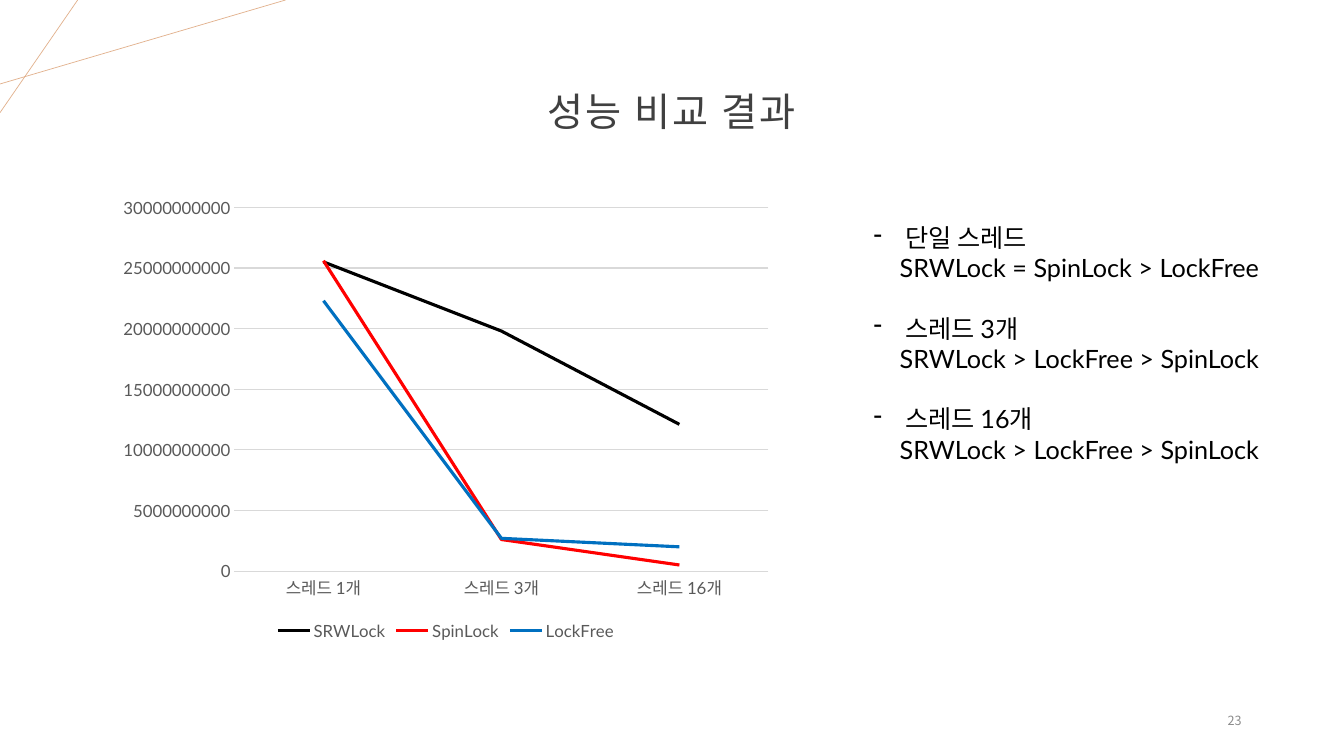
"""Build the slide comparing lock performance by thread count."""
import pptx
import pptx.chart.data
import pptx.dml.color
import pptx.enum.chart
import pptx.enum.shapes
import pptx.enum.text
import pptx.oxml.ns
import pptx.util
from lxml import etree

Pt = pptx.util.Pt
Align = pptx.enum.text.PP_ALIGN
Anchor = pptx.enum.text.MSO_ANCHOR
Chart = pptx.enum.chart

LATIN, KOREAN = "Lato", "Noto Sans CJK KR"
TITLE = "성능 비교 결과"
PAGE_NUMBER = "23"
CORNER_LINES = [(0, 60, 204, 0), (55.5, 0, 0, 80.5)]
THREADS = ["스레드 1개", "스레드 3개", "스레드 16개"]
LOCKS = [
    ("SRWLock", "000000", (25500000000, 19800000000, 12100000000)),
    ("SpinLock", "FF0000", (25600000000, 2600000000, 500000000)),
    ("LockFree", "0070C0", (22300000000, 2700000000, 2000000000)),
]
RANKINGS = [
    ("단일 스레드", "SRWLock = SpinLock > LockFree"),
    ("스레드 3개", "SRWLock > LockFree > SpinLock"),
    ("스레드 16개", "SRWLock > LockFree > SpinLock"),
]


def color(value):
    return pptx.dml.color.RGBColor.from_string(value)


def assign(target, values):
    for name, value in values.items():
        setattr(target, name, value)


def style_line(line, value, width):
    line.color.rgb = color(value)
    line.width = Pt(width)


def child(parent, tag, **attributes):
    return etree.SubElement(parent, pptx.oxml.ns.qn(tag), attributes)


def add_box(page, left, top, width, height, anchor):
    box = page.shapes.add_textbox(Pt(left), Pt(top), Pt(width), Pt(height))
    assign(box.text_frame, {"word_wrap": True, "vertical_anchor": anchor})
    return box.text_frame


def write(para, text, size, value, font=LATIN):
    span = para.add_run()
    span.text = text
    assign(span.font, {"size": Pt(size), "name": font})
    span.font.color.rgb = color(value)
    child(span.font._element, "a:ea", typeface=KOREAN)
    return span


def add_corner_lines(page):
    for ends in CORNER_LINES:
        line = page.shapes.add_connector(
            pptx.enum.shapes.MSO_CONNECTOR.STRAIGHT, *map(Pt, ends))
        style_line(line.line, "E2B18D", 0.5)
        child(line._element.spPr, "a:effectLst")


def add_headings(page):
    para = add_box(page, 66, 29, 828, 104, Anchor.MIDDLE).paragraphs[0]
    assign(para, {"alignment": Align.CENTER, "line_spacing": 0.9})
    title = write(para, TITLE, 28, "404040", KOREAN)
    title.font._element.set("spc", "150")
    para = add_box(page, 678, 500.5, 216, 28.5, Anchor.MIDDLE).paragraphs[0]
    para.alignment = Align.RIGHT
    write(para, PAGE_NUMBER, 9, "8C8C8C", KOREAN)


def add_lock_chart(page):
    data = pptx.chart.data.CategoryChartData(number_format="General")
    data.categories = THREADS
    for name, _, values in LOCKS:
        data.add_series(name, values)
    chart = page.shapes.add_chart(
        Chart.XL_CHART_TYPE.LINE, Pt(78.5), Pt(134.5), Pt(480), Pt(326), data).chart
    assign(chart, {"has_title": False, "has_legend": True})
    assign(chart.font, {"size": Pt(10), "name": LATIN})
    assign(chart.legend, {"position": Chart.XL_LEGEND_POSITION.BOTTOM,
                          "include_in_layout": False})
    chart.plots[0].vary_by_categories = False
    for series, (_, value, _) in zip(chart.plots[0].series, LOCKS):
        series.smooth = False
        style_line(series.format.line, value, 2.25)
    for axis in (chart.category_axis, chart.value_axis):
        assign(axis, {"major_tick_mark": Chart.XL_TICK_MARK.NONE,
                      "minor_tick_mark": Chart.XL_TICK_MARK.NONE})
    for font in (chart.category_axis.tick_labels.font,
                 chart.value_axis.tick_labels.font, chart.legend.font):
        assign(font, {"size": Pt(12), "name": LATIN})
        font.color.rgb = color("595959")
    assign(chart.value_axis, {"minimum_scale": 0, "maximum_scale": 30000000000,
                              "major_unit": 5000000000, "has_major_gridlines": True})
    style_line(chart.category_axis.format.line, "D9D9D9", 0.75)
    style_line(chart.value_axis.major_gridlines.format.line, "D9D9D9", 0.75)
    chart.value_axis.format.line.fill.background()


def indent(para, left, hanging=0):
    properties = para._element.get_or_add_pPr()
    properties.set("marL", str(Pt(left)))
    properties.set("indent", str(-Pt(hanging)))
    return properties


def add_rankings(page):
    frame = add_box(page, 617, 155, 292, 204, Anchor.TOP)
    frame.margin_right = 0
    for index, (threads, ranking) in enumerate(RANKINGS):
        para = frame.add_paragraph() if index else frame.paragraphs[0]
        para.space_before = Pt(21.7 if index else 0)
        properties = indent(para, 22.5, 22.5)
        child(properties, "a:buFontTx")
        child(properties, "a:buChar", char="-")
        write(para, threads, 18, "000000")
        para = frame.add_paragraph()
        indent(para, 18.5)
        write(para, ranking, 18, "000000")


def main():
    deck = pptx.Presentation()
    assign(deck, {"slide_width": Pt(960), "slide_height": Pt(540)})
    page = deck.slides.add_slide(deck.slide_layouts[6])
    add_corner_lines(page)
    add_headings(page)
    add_lock_chart(page)
    add_rankings(page)
    deck.save("out.pptx")


if __name__ == "__main__":
    main()
